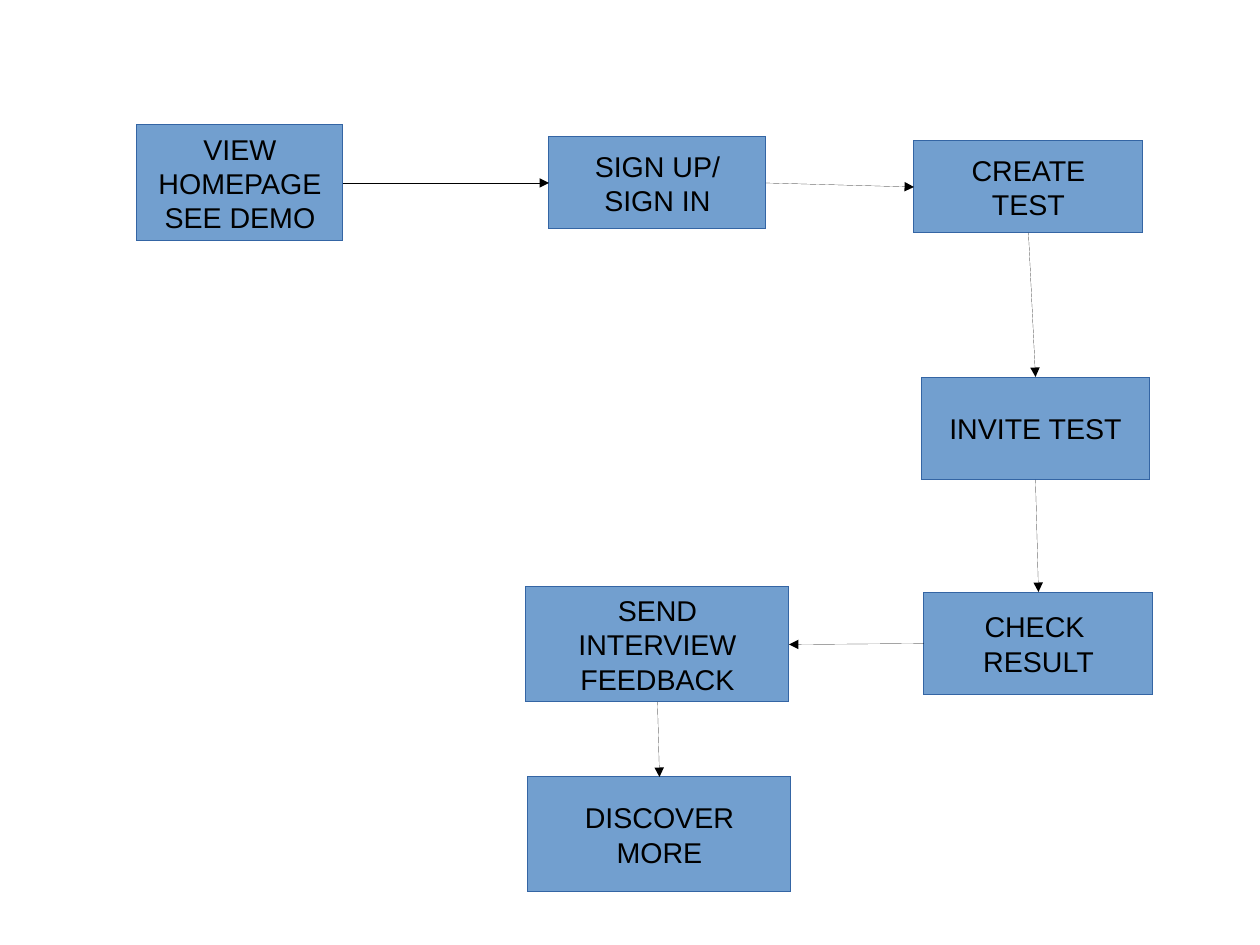
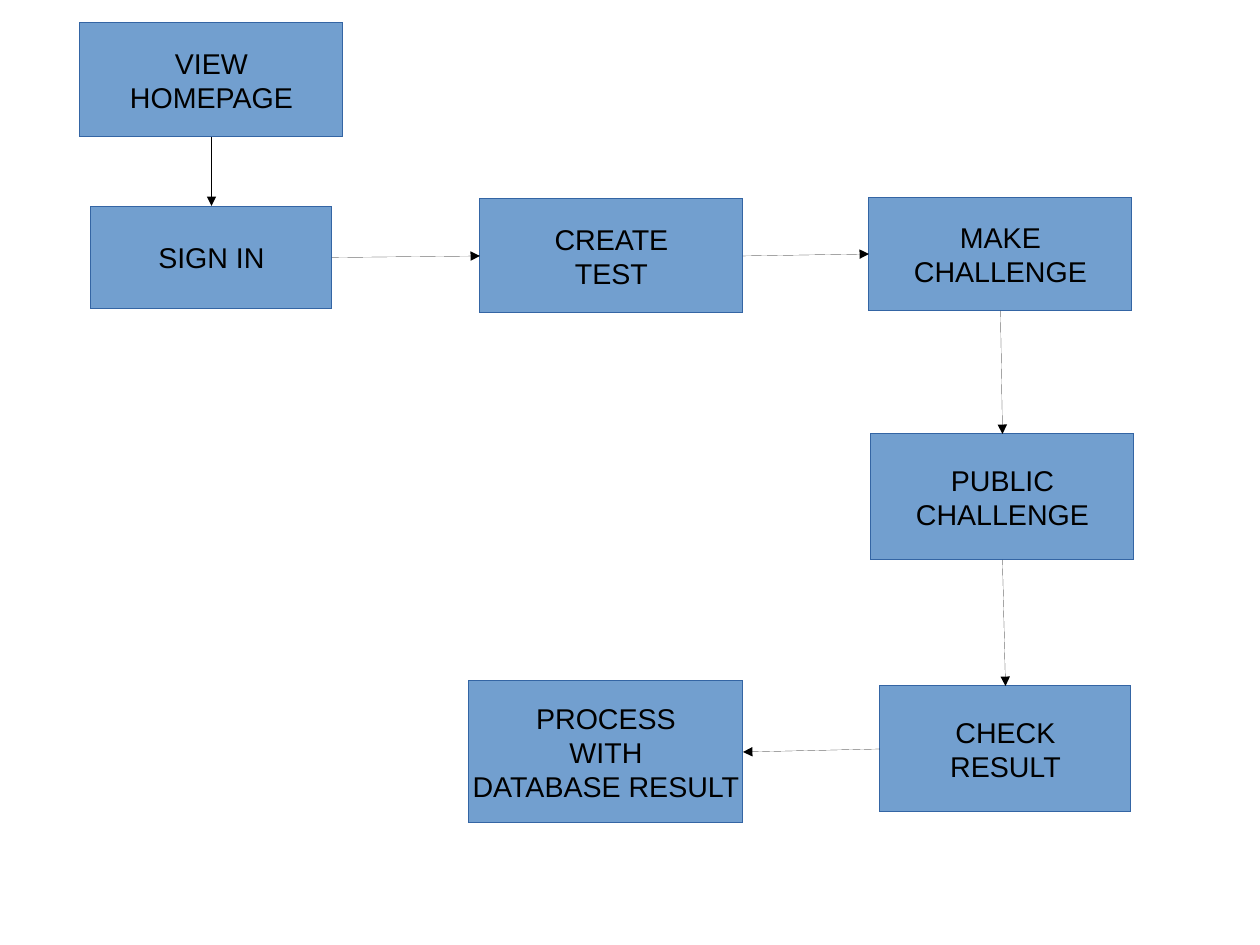
from pptx import Presentation
from pptx.dml.color import RGBColor
from pptx.enum.shapes import MSO_CONNECTOR, MSO_SHAPE
from pptx.enum.text import MSO_ANCHOR, PP_ALIGN
from pptx.oxml.ns import qn
from pptx.oxml.xmlchemy import OxmlElement
from pptx.util import Inches, Pt

RECTANGLE = MSO_SHAPE.RECTANGLE
STRAIGHT = MSO_CONNECTOR.STRAIGHT
MIDDLE = MSO_ANCHOR.MIDDLE
CENTER = PP_ALIGN.CENTER

BOX_FILL = RGBColor(0x72, 0x9F, 0xCF)
BOX_LINE = RGBColor(0x34, 0x65, 0xA4)
BLACK = RGBColor(0x00, 0x00, 0x00)
FONT_NAME = "Arial"
FONT_SIZE = Pt(18)
PIXEL = Inches(1) / 114.3
BLANK_LAYOUT = 6

TOP, LEFT, BOTTOM, RIGHT = range(4)
RIGHTWARD = (RIGHT, LEFT)
LEFTWARD = (LEFT, RIGHT)
DOWNWARD = (BOTTOM, TOP)

INTERVIEW_FLOW = [
    ("VIEW\nHOMEPAGE\nSEE DEMO", (137, 125, 206, 116), RIGHTWARD),
    ("SIGN UP/\nSIGN IN", (549, 137, 217, 92), RIGHTWARD),
    ("CREATE\nTEST", (914, 141, 229, 92), DOWNWARD),
    ("INVITE TEST", (921, 377, 229, 103), DOWNWARD),
    ("CHECK \nRESULT", (924, 592, 229, 103), LEFTWARD),
    ("SEND\nINTERVIEW\nFEEDBACK", (526, 587, 263, 115), DOWNWARD),
    ("DISCOVER\nMORE", (528, 777, 263, 115), None),
]
CHALLENGE_FLOW = [
    ("VIEW\nHOMEPAGE", (80, 23, 263, 114), DOWNWARD),
    ("SIGN IN", (91, 206, 241, 103), RIGHTWARD),
    ("CREATE\nTEST", (480, 199, 263, 114), RIGHTWARD),
    ("MAKE\nCHALLENGE", (869, 197, 263, 114), DOWNWARD),
    ("PUBLIC\nCHALLENGE", (871, 434, 263, 126), DOWNWARD),
    ("CHECK\nRESULT", (880, 686, 251, 126), LEFTWARD),
    ("PROCESS\nWITH\nDATABASE RESULT", (469, 681, 274, 142), None),
]


def pixels(length):
    return round(length * PIXEL)


def set_hairline(shape, color):
    shape.line.color.rgb = color
    line = shape.element.spPr.find(qn("a:ln"))
    line.set("w", "0")
    return line


def add_step(slide, text, box):
    shape = slide.shapes.add_shape(RECTANGLE, *map(pixels, box))
    shape.shadow.inherit = False
    shape.fill.solid()
    shape.fill.fore_color.rgb = BOX_FILL
    set_hairline(shape, BOX_LINE)
    text_frame = shape.text_frame
    text_frame.word_wrap = False
    text_frame.vertical_anchor = MIDDLE
    text_frame.text = text
    for paragraph in text_frame.paragraphs:
        paragraph.alignment = CENTER
        for run in paragraph.runs:
            run.font.name = FONT_NAME
            run.font.size = FONT_SIZE
            run.font.color.rgb = BLACK
    return shape


def add_arrow(slide, start, end, direction):
    start_side, end_side = direction
    connector = slide.shapes.add_connector(STRAIGHT, 0, 0, 0, 0)
    connector.begin_connect(start, start_side)
    connector.end_connect(end, end_side)
    line = set_hairline(connector, BLACK)
    arrowhead = OxmlElement("a:tailEnd")
    arrowhead.set("type", "triangle")
    line.append(arrowhead)
    connector.element.spPr.append(OxmlElement("a:effectLst"))


def add_flow_slide(presentation, flow):
    slide = presentation.slides.add_slide(presentation.slide_layouts[BLANK_LAYOUT])
    steps = [add_step(slide, text, box) for text, box, _ in flow]
    for start, end, (_, _, direction) in zip(steps, steps[1:], flow):
        add_arrow(slide, start, end, direction)


presentation = Presentation()
presentation.slide_width = pixels(1260)
presentation.slide_height = pixels(945)
for flow in (INTERVIEW_FLOW, CHALLENGE_FLOW):
    add_flow_slide(presentation, flow)
presentation.save("out.pptx")
